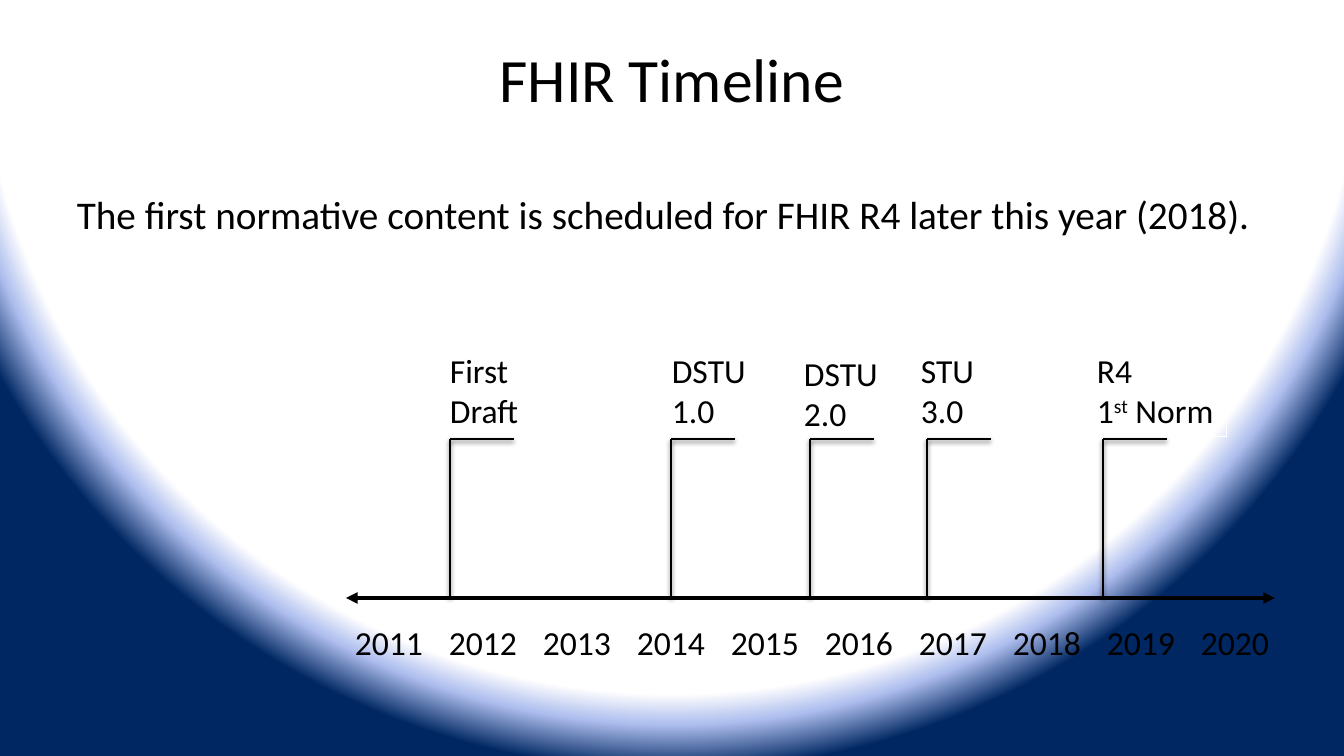
import pptx
import pptx.util
import pptx.dml.color
import pptx.enum.shapes
import pptx.enum.text
import pptx.oxml
import pptx.oxml.ns

SCALE = 914400 / 100.8
FONT = "Calibri"
COLORS = {"ink": "000000", "white": "FFFFFF", "haze": "AEBEEE", "navy": "002762"}
GRADIENT = [(90, "white"), (94, "haze"), (100, "navy")]

TITLE = ("FHIR Timeline", (67, 30, 1210, 96))
MESSAGE = (
    "The first normative content is scheduled for FHIR R4 later this year (2018).",
    (67, 185, 1208, 58),
)
RELEASES = [
    {"flag": 450, "label": (440, 345, 90), "outline": False,
     "lines": [[("First", 0)], [("Draft", 0)]]},
    {"flag": 671, "label": (662, 345, 95), "outline": True,
     "lines": [[("DSTU", 0)], [("1.0", 0)]]},
    {"flag": 810, "label": (794, 348, 95), "outline": True,
     "lines": [[("DSTU", 0)], [("2.0", 0)]]},
    {"flag": 927, "label": (911, 345, 74), "outline": True,
     "lines": [[("STU", 0)], [("3.0", 0)]]},
    {"flag": 1103, "label": (1087, 345, 140), "outline": True,
     "lines": [[("R4", 0)], [("1", 0), ("st", 30000), (" Norm", 0)]]},
]
LABEL_H = 92
FLAG_TOP, FLAG_W = 439, 64
AXIS_LEFT, AXIS_RIGHT, AXIS_Y = 346, 1275, 598
YEARS = range(2011, 2021)
YEAR_LEFT, YEAR_TOP, YEAR_STEP, YEAR_W, YEAR_H = 345, 617, 94, 89, 50

NS = pptx.oxml.ns.nsdecls("a", "p")


def px(v):
    return pptx.util.Emu(round(v * SCALE))


def rgb(name):
    return pptx.dml.color.RGBColor.from_string(COLORS[name])


def add_run(p, text, size, baseline=0):
    r = p.add_run()
    r.text = text
    r.font.size = pptx.util.Pt(size)
    r.font.name = FONT
    r.font.color.rgb = rgb("ink")
    if baseline:
        r.font._element.set("baseline", str(baseline))


def add_text(s, box, lines, size, wrap=False):
    sp = s.shapes.add_textbox(*map(px, box))
    tf = sp.text_frame
    tf.word_wrap = wrap
    tf.auto_size = pptx.enum.text.MSO_AUTO_SIZE.SHAPE_TO_FIT_TEXT
    for i, line in enumerate(lines):
        p = tf.add_paragraph() if i else tf.paragraphs[0]
        for text, baseline in line:
            add_run(p, text, size, baseline)
    return sp


def add_line(s, x1, y1, x2, y2, width, shadow=""):
    c = s.shapes.add_connector(
        pptx.enum.shapes.MSO_CONNECTOR.STRAIGHT, px(x1), px(y1), px(x2), px(y2))
    c.line.color.rgb = rgb("ink")
    c.line.width = pptx.util.Pt(width)
    c._element.spPr.append(
        pptx.oxml.parse_xml(f"<a:effectLst {NS}>{shadow}</a:effectLst>"))
    return c


def set_background(s):
    stops = "".join(
        f'<a:gs pos="{pos * 1000}"><a:srgbClr val="{COLORS[name]}"/></a:gs>'
        for pos, name in GRADIENT)
    s._element.cSld.insert(0, pptx.oxml.parse_xml(
        f'<p:bg {NS}><p:bgPr><a:gradFill rotWithShape="1"><a:gsLst>{stops}</a:gsLst>'
        '<a:path path="circle"><a:fillToRect l="50000" t="-80000" r="50000" b="180000"/>'
        '</a:path></a:gradFill><a:effectLst/></p:bgPr></p:bg>'))


def set_title(s):
    text, box = TITLE
    sp = s.shapes.title
    sp.left, sp.top, sp.width, sp.height = map(px, box)
    tf = sp.text_frame
    tf.vertical_anchor = pptx.enum.text.MSO_ANCHOR.MIDDLE
    p = tf.paragraphs[0]
    p.alignment = pptx.enum.text.PP_ALIGN.CENTER
    add_run(p, text, 44)


def add_release(s, release):
    sp = add_text(s, (*release["label"], LABEL_H), release["lines"], 24)
    if release["outline"]:
        sp.line.color.rgb = rgb("white")
        sp.line.width = pptx.util.Pt(0.75)
    x = release["flag"]
    shadow = (
        '<a:outerShdw blurRad="40000" dist="20000" dir="5400000" rotWithShape="0">'
        f'<a:srgbClr val="{COLORS["ink"]}"><a:alpha val="38000"/></a:srgbClr></a:outerShdw>')
    for x2, y2 in [(x, AXIS_Y), (x + FLAG_W, FLAG_TOP)]:
        add_line(s, x, FLAG_TOP, x2, y2, 2, shadow)


def add_axis(s):
    axis = add_line(s, AXIS_LEFT, AXIS_Y, AXIS_RIGHT, AXIS_Y, 2.75)
    ln = axis.line._get_or_add_ln()
    for end in ("headEnd", "tailEnd"):
        ln.append(pptx.oxml.parse_xml(f'<a:{end} {NS} type="triangle"/>'))
    for i, year in enumerate(YEARS):
        box = (YEAR_LEFT + i * YEAR_STEP, YEAR_TOP, YEAR_W, YEAR_H)
        add_text(s, box, [[(str(year), 0)]], 24)


def main():
    prs = pptx.Presentation()
    prs.slide_width, prs.slide_height = px(1344), px(756)
    s = prs.slides.add_slide(prs.slide_layouts[5])
    set_background(s)
    set_title(s)
    for release in RELEASES:
        add_release(s, release)
    add_axis(s)
    text, box = MESSAGE
    add_text(s, box, [[(text, 0)]], 28, wrap=True)
    prs.save("out.pptx")


if __name__ == "__main__":
    main()
